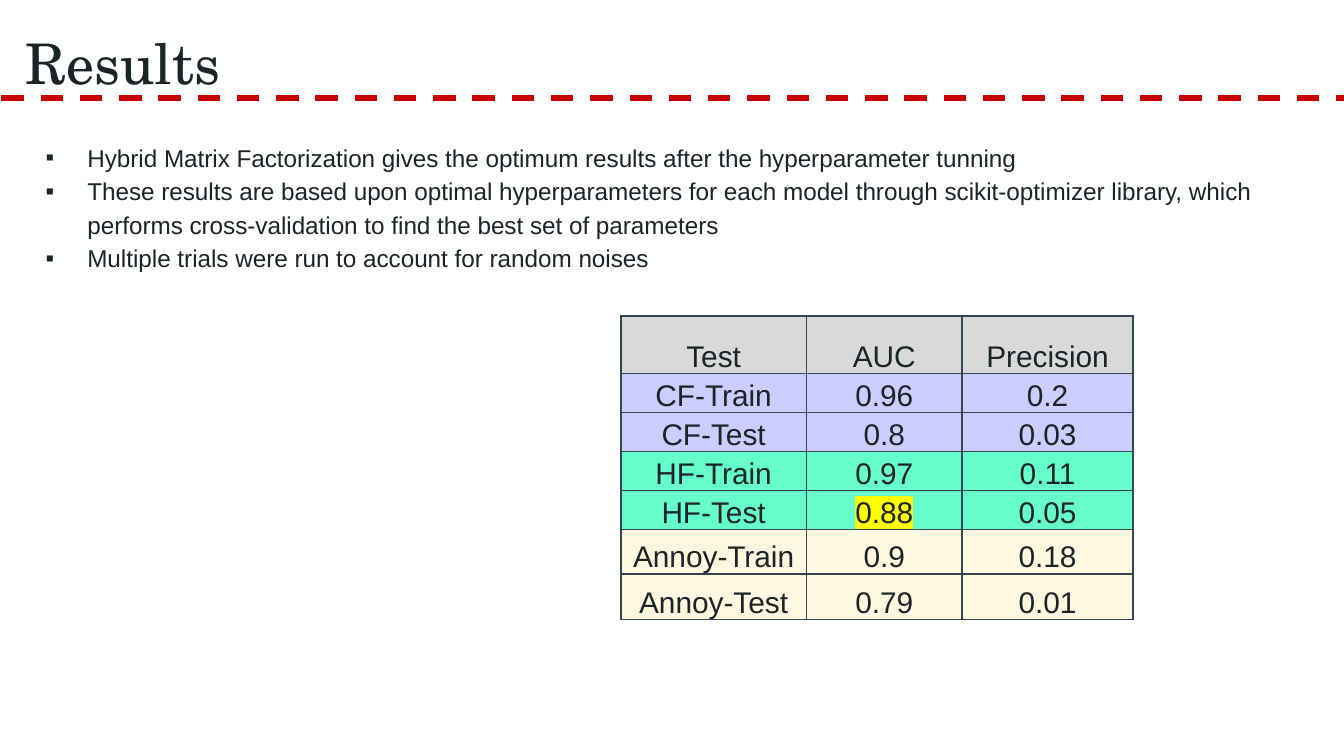
import pptx
import pptx.dml.color
import pptx.enum.dml
import pptx.enum.shapes
import pptx.enum.text
import pptx.oxml.ns
import pptx.util
from lxml import etree

RGBColor = pptx.dml.color.RGBColor
Inches = pptx.util.Inches
Pt = pptx.util.Pt
qn = pptx.oxml.ns.qn
PP_ALIGN = pptx.enum.text.PP_ALIGN
MSO_ANCHOR = pptx.enum.text.MSO_ANCHOR

INK = RGBColor(0x1C, 0x24, 0x28)
RED = RGBColor(0xC6, 0x00, 0x00)
BORDER = RGBColor(0x37, 0x47, 0x4F)
GREY = RGBColor(0xD9, 0xD9, 0xD9)
LILAC = RGBColor(0xCC, 0xCC, 0xFF)
MINT = RGBColor(0x66, 0xFF, 0xCC)
CREAM = RGBColor(0xFF, 0xF7, 0xE0)
YELLOW = RGBColor(0xFF, 0xFF, 0x00)

SLIDE_WIDTH = 10
SLIDE_HEIGHT = SLIDE_WIDTH * 9 / 16
TITLE_BOX = (0.09, 0.11, 1.73, 0.63)
RULE_BOX = (0.01, 0.73, SLIDE_WIDTH, 0)
BODY_BOX = (0.24, 0.93, 9.32, 1.22)
TABLE_BOX = (4.62, 2.35, 3.81, 2.26)

COLUMN_WIDTHS = (1.38, 1.16, 1.27)
ROW_HEIGHTS = (0.43, 0.29, 0.29, 0.29, 0.29, 0.33, 0.34)
RESULTS = (
    (GREY, ("Test", "AUC", "Precision")),
    (LILAC, ("CF-Train", "0.96", "0.2")),
    (LILAC, ("CF-Test", "0.8", "0.03")),
    (MINT, ("HF-Train", "0.97", "0.11")),
    (MINT, ("HF-Test", "0.88", "0.05")),
    (CREAM, ("Annoy-Train", "0.9", "0.18")),
    (CREAM, ("Annoy-Test", "0.79", "0.01")),
)
BEST_AUC = "0.88"
FINDINGS = (
    "Hybrid Matrix Factorization gives the optimum results after the hyperparameter tunning",
    "These results are based upon optimal hyperparameters for each model through "
    "scikit-optimizer library, which performs cross-validation to find the best set of parameters",
    "Multiple trials were run to account for random noises",
)


def add_solid_fill(parent, color):
    fill = etree.SubElement(parent, qn("a:solidFill"))
    etree.SubElement(fill, qn("a:srgbClr"), val=str(color))


def write_text(paragraph, text, size, font="Arial", color=INK,
               align=PP_ALIGN.LEFT, line_spacing=1.0, highlight=None):
    paragraph.alignment = align
    paragraph.line_spacing = line_spacing
    paragraph.space_before = Pt(0)
    run = paragraph.add_run()
    run.text = text
    run.font.size = Pt(size)
    run.font.color.rgb = color
    run.font.name = font
    if highlight is not None:
        properties = run.font._element
        mark = etree.Element(qn("a:highlight"))
        etree.SubElement(mark, qn("a:srgbClr"), val=str(highlight))
        properties.find(qn("a:solidFill")).addnext(mark)


def add_bullet(paragraph, indent, character="▪"):
    properties = paragraph._p.get_or_add_pPr()
    properties.set("marL", str(Inches(indent)))
    properties.set("indent", str(-Inches(indent)))
    etree.SubElement(properties, qn("a:buFont"), typeface="Arial")
    etree.SubElement(properties, qn("a:buChar"), char=character)


def place_placeholder(placeholder, box):
    """Move a placeholder into its box and return its emptied text frame."""
    placeholder.left, placeholder.top, placeholder.width, placeholder.height = map(Inches, box)
    frame = placeholder.text_frame
    frame.word_wrap = True
    frame.auto_size = pptx.enum.text.MSO_AUTO_SIZE.NONE
    frame.vertical_anchor = MSO_ANCHOR.TOP
    frame.margin_left = frame.margin_right = Inches(0.1)
    frame.margin_top = frame.margin_bottom = Inches(0.1)
    return frame


def add_rule(slide, box):
    left, top, width, height = map(Inches, box)
    rule = slide.shapes.add_connector(
        pptx.enum.shapes.MSO_CONNECTOR.STRAIGHT, left, top, left + width, top + height)
    rule.line.color.rgb = RED
    rule.line.width = Pt(3)
    rule.line.dash_style = pptx.enum.dml.MSO_LINE.DASH
    etree.SubElement(rule._element.spPr, qn("a:effectLst"))


def fill_title(slide, box):
    frame = place_placeholder(slide.shapes.title, box)
    write_text(frame.paragraphs[0], "Results", size=30, font="TeX Gyre Schola")


def fill_findings(slide, box):
    frame = place_placeholder(slide.placeholders[1], box)
    for index, finding in enumerate(FINDINGS):
        paragraph = frame.add_paragraph() if index else frame.paragraphs[0]
        add_bullet(paragraph, indent=0.31)
        write_text(paragraph, finding, size=13, line_spacing=1.15)


def add_borders(cell):
    properties = cell._tc.get_or_add_tcPr()
    for index, side in enumerate(("lnL", "lnR", "lnT", "lnB")):
        border = etree.Element(qn(f"a:{side}"), w=str(Pt(1)))
        add_solid_fill(border, BORDER)
        properties.insert(index, border)


def add_results_table(slide, box):
    table = slide.shapes.add_table(
        len(ROW_HEIGHTS), len(COLUMN_WIDTHS), *map(Inches, box)).table
    table.first_row = table.horz_banding = False
    for column, width in zip(table.columns, COLUMN_WIDTHS):
        column.width = Inches(width)
    for row, height, (color, values) in zip(table.rows, ROW_HEIGHTS, RESULTS):
        row.height = Inches(height)
        for cell, value in zip(row.cells, values):
            cell.fill.solid()
            cell.fill.fore_color.rgb = color
            cell.vertical_anchor = MSO_ANCHOR.BOTTOM
            cell.margin_left = cell.margin_right = cell.margin_top = Inches(0.01)
            cell.margin_bottom = 0
            add_borders(cell)
            write_text(cell.text_frame.paragraphs[0], value, size=16, align=PP_ALIGN.CENTER,
                       highlight=YELLOW if value == BEST_AUC else None)


def main():
    presentation = pptx.Presentation()
    presentation.slide_width = Inches(SLIDE_WIDTH)
    presentation.slide_height = Inches(SLIDE_HEIGHT)
    slide = presentation.slides.add_slide(presentation.slide_layouts[1])
    add_rule(slide, RULE_BOX)
    fill_title(slide, TITLE_BOX)
    add_results_table(slide, TABLE_BOX)
    fill_findings(slide, BODY_BOX)
    presentation.save("out.pptx")


if __name__ == "__main__":
    main()
